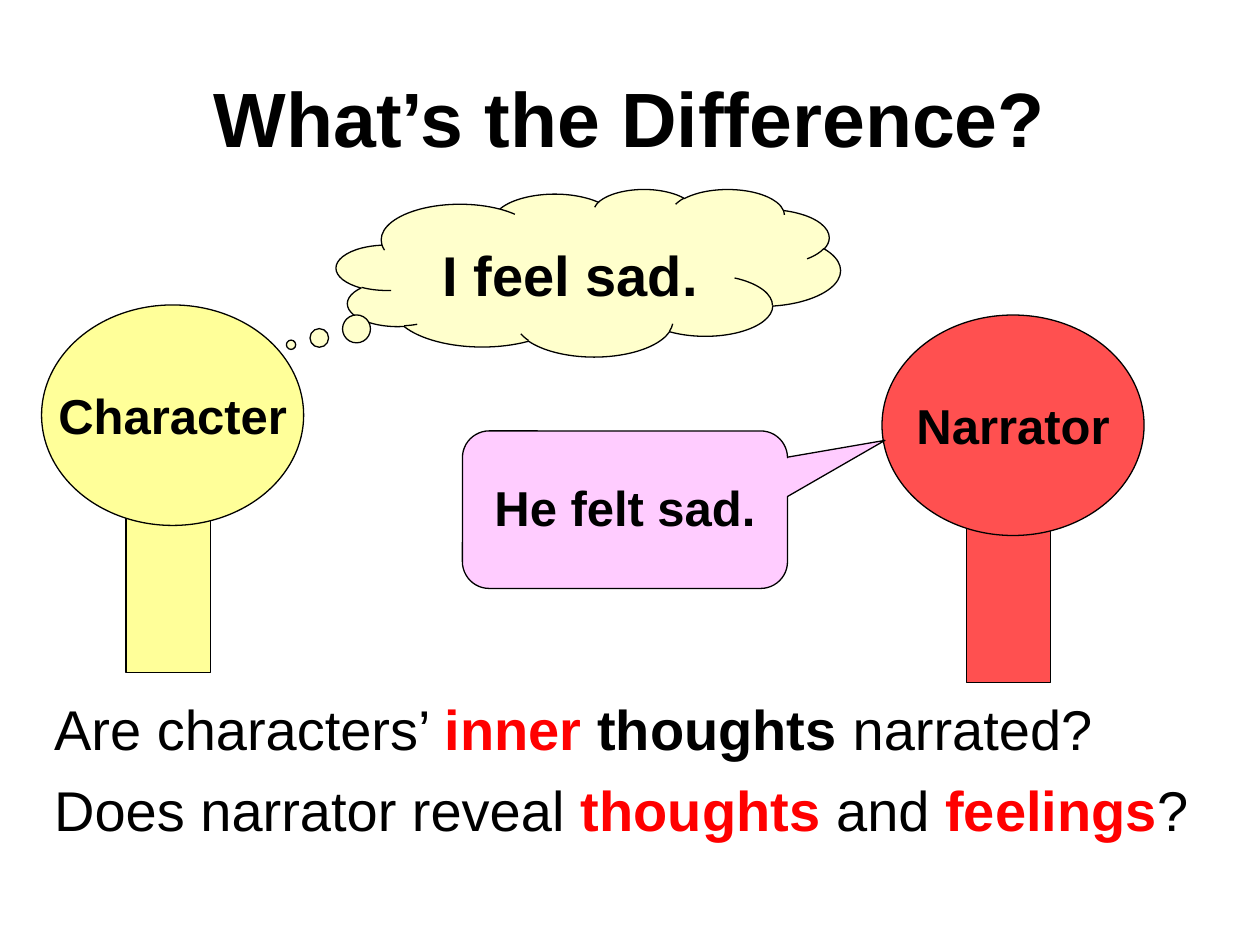
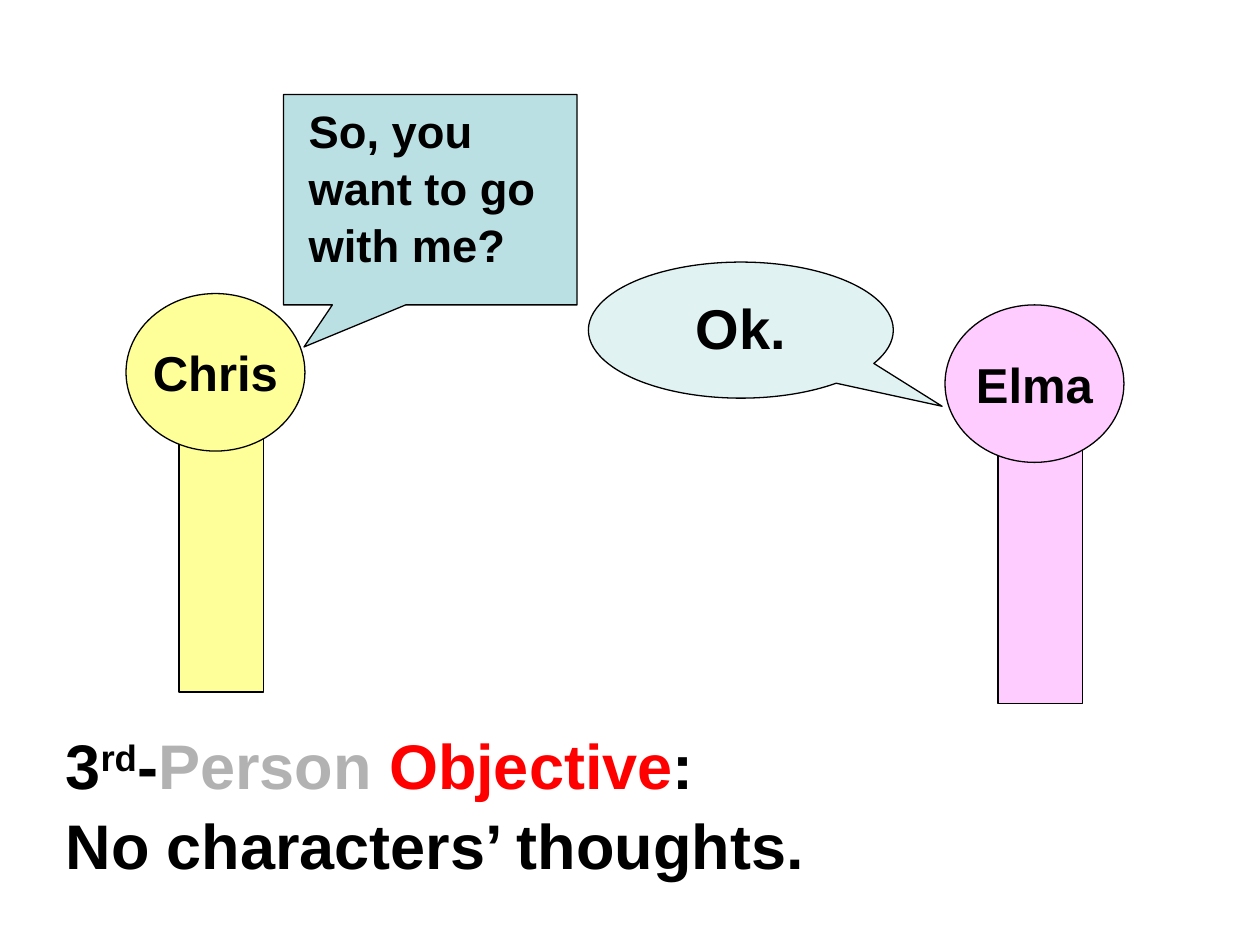
import pptx
import pptx.util
import pptx.dml.color
import pptx.enum.shapes
import pptx.enum.text
import pptx.oxml.ns
import lxml.etree

Inches = pptx.util.Inches
SHAPE = pptx.enum.shapes.MSO_SHAPE
ALIGN = pptx.enum.text.PP_ALIGN
ANCHOR = pptx.enum.text.MSO_ANCHOR

COLORS = {
    "text": "000000",
    "accent": "FF0000",
    "muted": "B2B2B2",
    "yellow": "FFFF99",
    "cream": "FFFFCC",
    "coral": "FF5050",
    "pink": "FFCCFF",
    "teal": "BBE0E3",
    "mist": "E1F2F3",
}
STICK_WIDTH = 0.67


def rgb(name):
    return pptx.dml.color.RGBColor.from_string(COLORS[name])


def apply(obj, values):
    for name, value in values.items():
        setattr(obj, name, value)


def place(sp, box):
    apply(sp, dict(zip(("left", "top", "width", "height"), map(Inches, box))))


def add_runs(p, runs, size):
    for text, color, bold, *baseline in runs:
        for i, line in enumerate(text.split("\n")):
            if i:
                p.add_line_break()
            r = p.add_run()
            r.text = line
            apply(r.font, {"name": "Arial", "size": pptx.util.Pt(size), "bold": bold})
            r.font.color.rgb = rgb(color)
            if baseline:
                r._r.get_or_add_rPr().set("baseline", str(baseline[0]))


def add_title(s, box, runs, size, align, spacing=1.0):
    sp = s.shapes.title
    place(sp, box)
    apply(sp.text_frame, {"vertical_anchor": ANCHOR.MIDDLE, "word_wrap": True,
                          "auto_size": pptx.enum.text.MSO_AUTO_SIZE.NONE})
    p = sp.text_frame.paragraphs[0]
    apply(p, {"alignment": align, "line_spacing": spacing})
    add_runs(p, runs, size)


def add_questions(s, box, questions):
    sp = s.placeholders[1]
    place(sp, box)
    tf = sp.text_frame
    apply(tf, {"word_wrap": True, "auto_size": pptx.enum.text.MSO_AUTO_SIZE.NONE})
    for i, runs in enumerate(questions):
        p = tf.add_paragraph() if i else tf.paragraphs[0]
        pPr = p._p.get_or_add_pPr()
        pPr.set("marL", str(Inches(0.38)))
        pPr.set("indent", str(-Inches(0.38)))
        lxml.etree.SubElement(pPr, pptx.oxml.ns.qn("a:buNone"))
        p.space_before = pptx.util.Pt(8 if i else 0)
        add_runs(p, runs, 32)


def add_figure(s, kind, box, fill):
    sp = s.shapes.add_shape(kind, *map(Inches, box))
    sp.shadow.inherit = False
    sp.fill.solid()
    sp.fill.fore_color.rgb = rgb(fill)
    sp.line.color.rgb = rgb("text")
    sp.line.width = pptx.util.Pt(0.75)
    return sp


def add_puppet(s, head, name, fill, stick_offset, stick_height):
    left, top, width, height = head
    stick = (left + stick_offset, top + height * 2 / 3, STICK_WIDTH, stick_height)
    add_figure(s, SHAPE.RECTANGLE, stick, fill)
    sp = add_figure(s, SHAPE.OVAL, head, fill)
    apply(sp.text_frame, {"word_wrap": False, "vertical_anchor": ANCHOR.MIDDLE})
    p = sp.text_frame.paragraphs[0]
    p.alignment = ALIGN.CENTER
    add_runs(p, [(name, "text", True)], 28)


def add_callout(s, kind, box, fill, tail, text, size, inset_top,
                inset_left=0.1, align=ALIGN.CENTER, spacing=1.0):
    sp = add_figure(s, kind, box, fill)
    for i, value in enumerate(tail):
        sp.adjustments[i] = value
    apply(sp.text_frame, {"word_wrap": True, "vertical_anchor": ANCHOR.TOP,
                          "margin_top": Inches(inset_top),
                          "margin_left": Inches(inset_left)})
    p = sp.text_frame.paragraphs[0]
    apply(p, {"alignment": align, "line_spacing": spacing})
    add_runs(p, [(text, "text", True)], size)


def difference_slide(prs):
    s = prs.slides.add_slide(prs.slide_layouts[1])
    add_title(s, (0.5, 0.3, 9, 1.25), [("What’s the Difference?", "text", True)],
              44, ALIGN.CENTER)
    add_questions(s, (0.33, 5.46, 9.67, 1.54), [
        [("Are characters’ ", "text", False), ("inner", "accent", True),
         (" thoughts", "text", True), (" narrated?", "text", False)],
        [("Does narrator reveal ", "text", False), ("thoughts", "accent", True),
         (" and ", "text", False), ("feelings", "accent", True), ("?", "text", False)],
    ])
    add_puppet(s, (0.33, 2.42, 2.08, 1.75), "Character", "yellow", 0.67, 1.75)
    add_callout(s, SHAPE.CLOUD_CALLOUT, (2.67, 1.5, 4, 1.33), "cream",
                (-0.59, 0.43), "I feel sad.", 32, 0.21)
    add_puppet(s, (7, 2.5, 2.08, 1.75), "Narrator", "coral", 0.67, 1.75)
    add_callout(s, SHAPE.ROUNDED_RECTANGULAR_CALLOUT, (3.67, 3.42, 2.58, 1.25), "pink",
                (0.8, -0.44, 0.17), "He felt sad.", 28, 0.31)


def objective_slide(prs):
    s = prs.slides.add_slide(prs.slide_layouts[5])
    add_title(s, (0.42, 5.58, 8.92, 1.58), [
        ("3", "text", True), ("rd", "text", True, 30000), ("-", "text", True),
        ("Person ", "muted", True), ("Objective", "accent", True),
        (":\nNo characters’ thoughts.", "text", True),
    ], 36, ALIGN.LEFT, 1.05)
    add_puppet(s, (1, 2.33, 1.42, 1.25), "Chris", "yellow", 0.42, 2.33)
    add_puppet(s, (7.5, 2.42, 1.42, 1.25), "Elma", "pink", 0.42, 2.33)
    add_callout(s, SHAPE.OVAL_CALLOUT, (4.67, 2.08, 2.42, 1.08), "mist",
                (0.66, 0.56), "Ok.", 32, 0.09)
    add_callout(s, SHAPE.RECTANGULAR_CALLOUT, (2.25, 0.75, 2.33, 1.67), "teal",
                (-0.43, 0.7), "So, you\nwant to go\nwith me?", 25.9, 0.05,
                0.2, ALIGN.LEFT, 1.05)


def main():
    prs = pptx.Presentation()
    apply(prs, {"slide_width": Inches(10), "slide_height": Inches(7.5)})
    difference_slide(prs)
    objective_slide(prs)
    prs.save("out.pptx")


if __name__ == "__main__":
    main()
